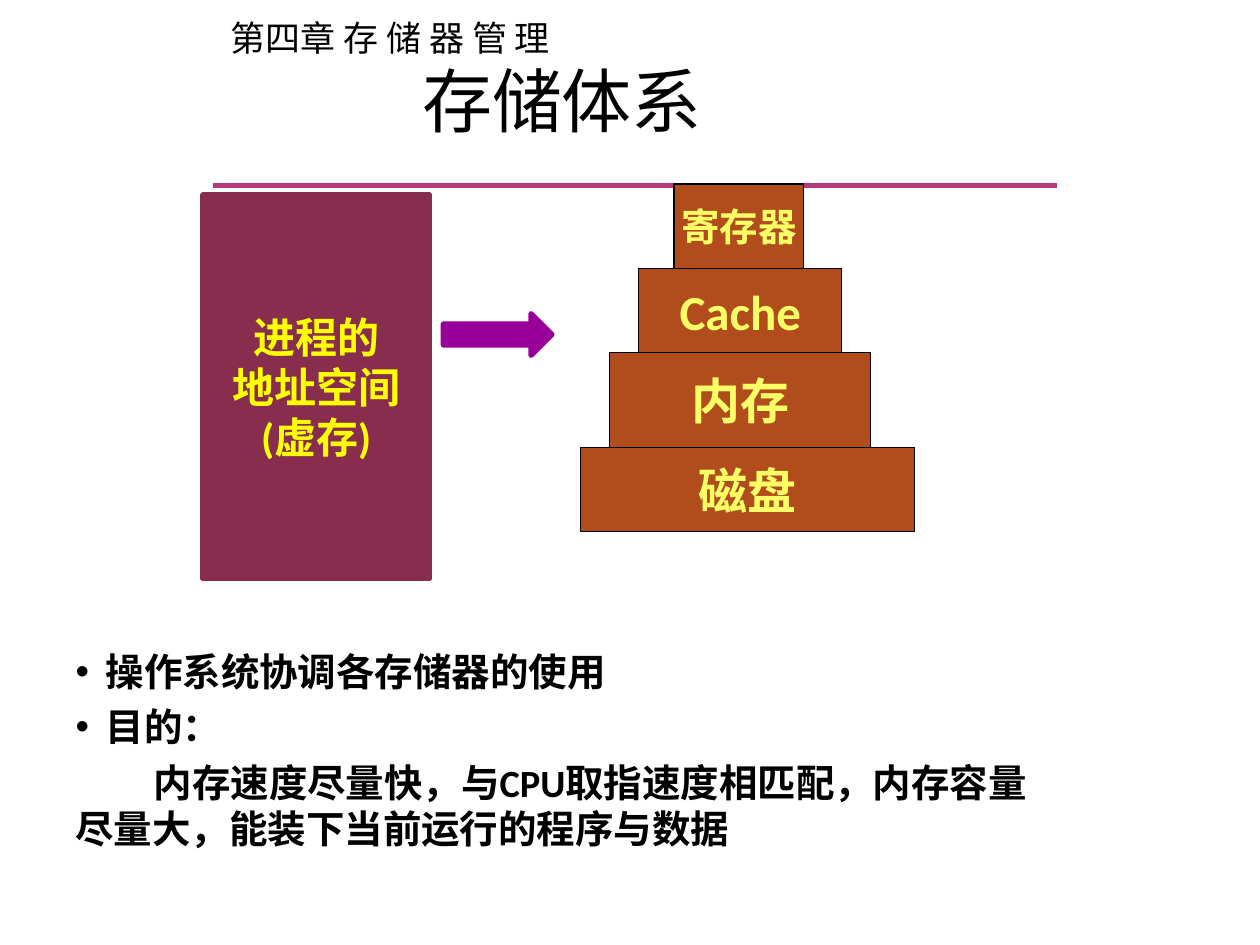
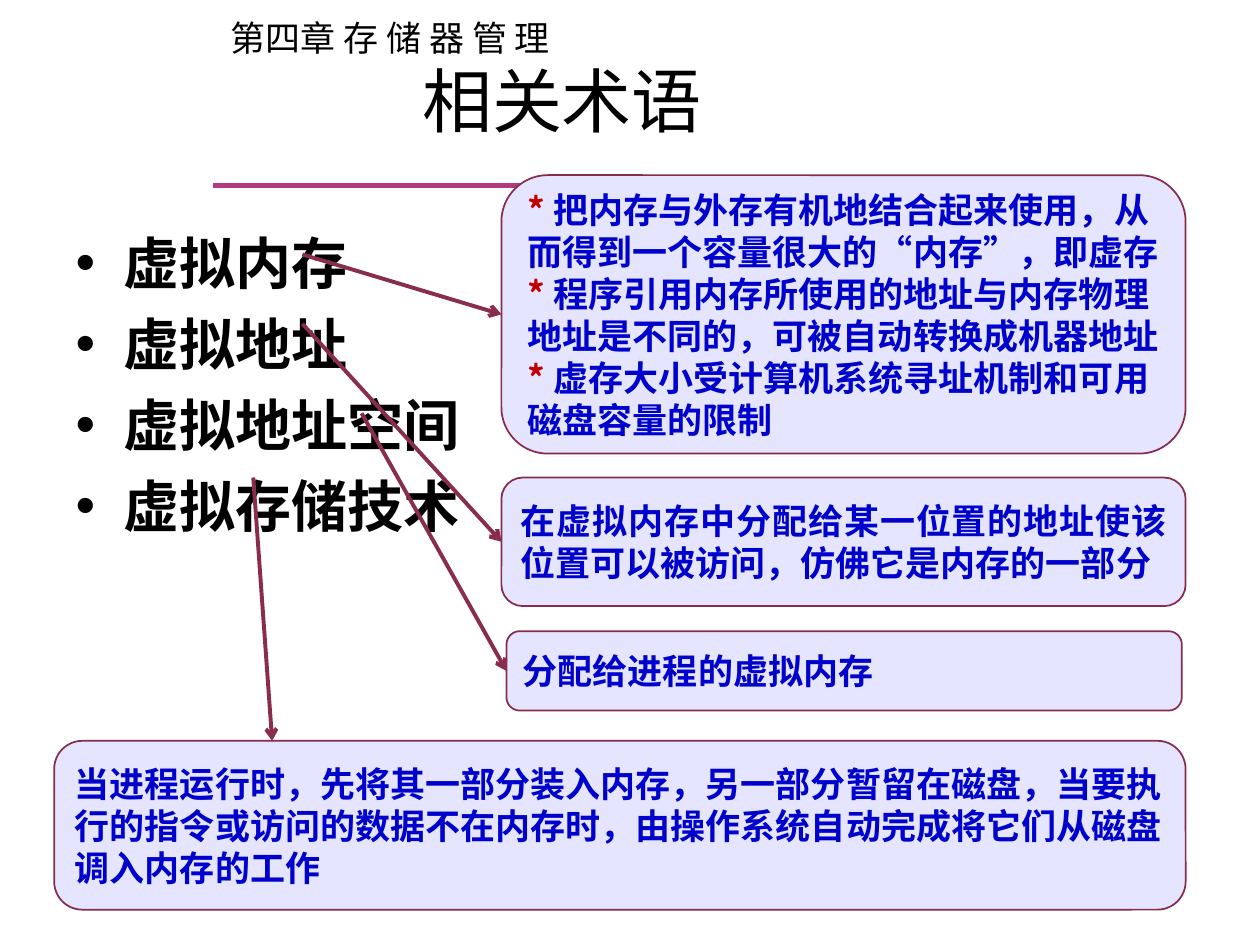
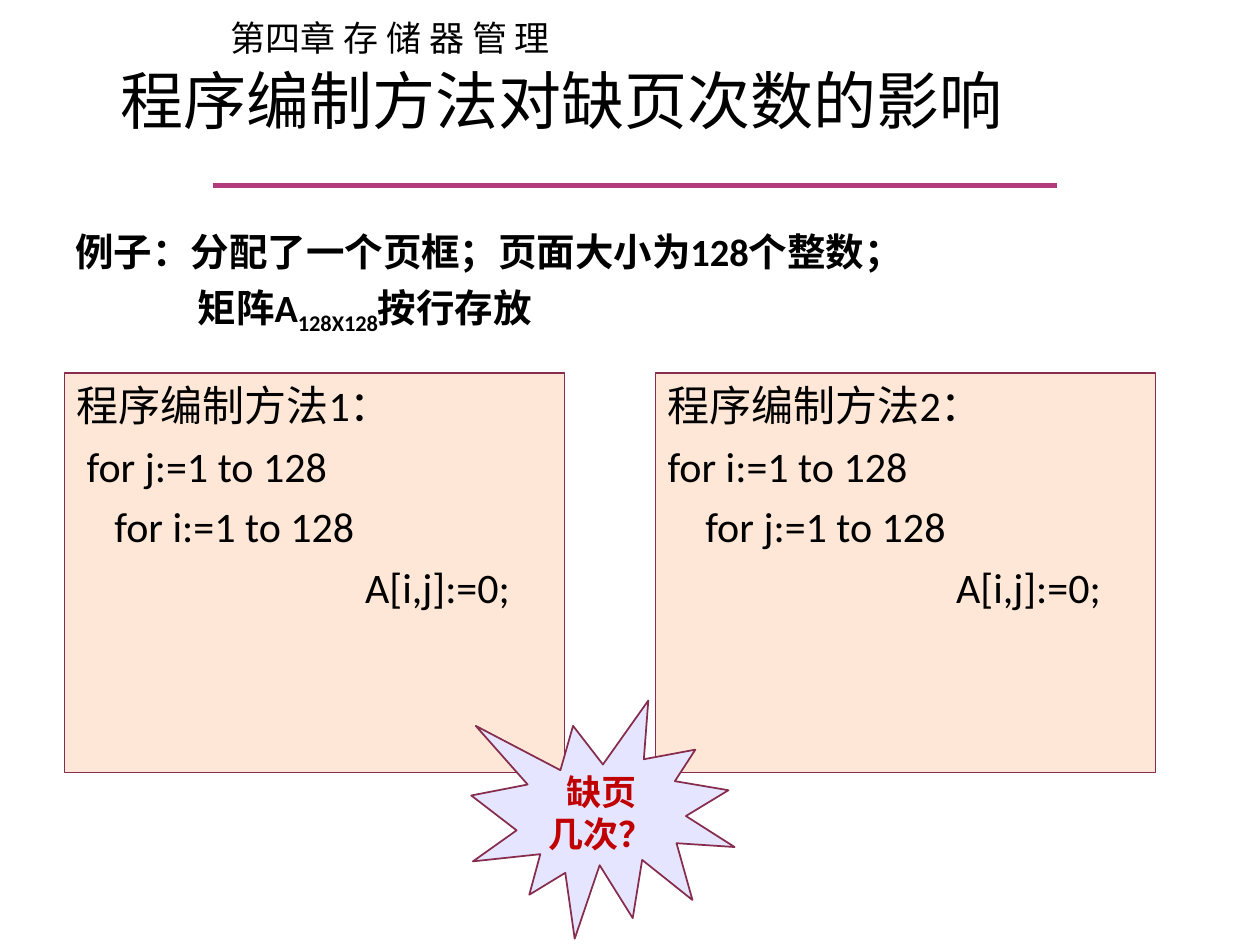
from lxml.etree import SubElement
from pptx import Presentation
from pptx.dml.color import RGBColor
from pptx.enum.shapes import MSO_CONNECTOR as Link, MSO_SHAPE as Kind
from pptx.enum.text import MSO_ANCHOR as Anchor, MSO_AUTO_SIZE as Fit, PP_ALIGN as Align
from pptx.oxml.ns import qn
from pptx.util import Inches, Pt

BLACK, PLUM, WINE, LILAC = "000000", "892D4E", "862C4C", "E5E5FF"
RUST, LEMON, YELLOW, PURPLE = "B14C1D", "FFFF66", "FFFF00", "990099"
PEACH, BLUE, RED, PINK = "FEE7D6", "0000CC", "C00000", "B23A7D"
SANS, SERIF, HAN = "Calibri", "Times New Roman", "Noto Sans CJK SC"

CHAPTER = "第四章 存 储 器 管 理"
SPACE = ["进程的", "地址空间", "(虚存)"]
LEVELS = [
    ("寄存器", 5.35, 1.03, 0.67, 22),
    ("Cache", 5.07, 1.61, 0.67, 28),
    ("内存", 4.84, 2.07, 0.75, 28),
    ("磁盘", 4.61, 2.65, 0.67, 28),
]
GOALS = [
    "操作系统协调各存储器的使用",
    "目的：",
    "内存速度尽量快，与CPU取指速度相匹配，内存容量尽量大，能装下当前运行的程序与数据",
]
TERMS = ["虚拟内存", "虚拟地址", "虚拟地址空间", "虚拟存储技术"]
FACTS = [
    "把内存与外存有机地结合起来使用，从而得到一个容量很大的“内存”，即虚存",
    "程序引用内存所使用的地址与内存物理地址是不同的，可被自动转换成机器地址",
    "虚存大小受计算机系统寻址机制和可用磁盘容量的限制",
]
NOTES = [
    ([[("* ", RED), (fact, BLUE)] for fact in FACTS],
     (3.98, 1.39, 5.43, 2.21), Align.LEFT, (2.4, 2.02)),
    (["在虚拟内存中分配给某一位置的地址使该位置可以被访问，仿佛它是内存的一部分"],
     (3.98, 3.79, 5.43, 1.02), Align.JUSTIFY, (2.4, 2.57)),
    (["分配给进程的虚拟内存"],
     (4.02, 5.01, 5.36, 0.63), Align.JUSTIFY, (2.87, 3.28)),
]
SWAP = ["当进程运行时，先将其一部分装入内存，另一部分暂留在磁盘，"
        "当要执行的指令或访问的数据不在内存时，由操作系统自动完成将它们从磁盘调入内存的工作"]
CASE = [
    "例子：分配了一个页框；页面大小为128个整数；",
    [("矩阵A", BLACK), ("128X128", "sub"), ("按行存放", BLACK)],
]
LOOPS = [
    (0.51, ["程序编制方法1：", "for j:=1 to 128", "for i:=1 to 128", "A[i,j]:=0;"],
     [0, 0.08, 0.3, 2.29]),
    (5.2, ["程序编制方法2：", "for i:=1 to 128", "for j:=1 to 128", "A[i,j]:=0;"],
     [0, 0, 0.3, 2.29]),
]
ASK = ["缺页", "几次？"]


def rgb(code):
    return RGBColor.from_string(code)


def place(shape, box):
    shape.left, shape.top, shape.width, shape.height = map(Inches, box)


def write(frame, lines, size, color=BLACK, font=SANS, bold=False, align=Align.LEFT,
          before=0, anchor=Anchor.MIDDLE, wrap=True, dents=None, dots=0):
    frame.word_wrap, frame.auto_size, frame.vertical_anchor = wrap, Fit.NONE, anchor
    for i, line in enumerate(lines):
        para = frame.paragraphs[0] if i == 0 else frame.add_paragraph()
        left, first = dents[i] if dents else (0, 0)
        props = para._p.get_or_add_pPr()
        props.set("marL", str(Inches(left)))
        props.set("indent", str(Inches(first)))
        if i < dots:
            SubElement(props, qn("a:buFont"), typeface="Arial")
            SubElement(props, qn("a:buChar"), char="•")
        else:
            SubElement(props, qn("a:buNone"))
        para.alignment, para.space_before = align, Pt(before)
        face = para.font
        face.size, face.bold, face.name = Pt(size), bold, font
        face.color.rgb = rgb(color)
        SubElement(face._element, qn("a:ea"), typeface=HAN)
        for text, style in [(line, None)] if isinstance(line, str) else line:
            run = para.add_run()
            run.text = text
            if style == "sub":
                run._r.get_or_add_rPr().set("baseline", "-25000")
            elif style:
                run.font.color.rgb = rgb(style)


def draw(slide, kind, box, fill, edge, width):
    shape = slide.shapes.add_shape(kind, *map(Inches, box))
    shape.shadow.inherit = False
    shape.fill.solid()
    shape.fill.fore_color.rgb = rgb(fill)
    shape.line.color.rgb = rgb(edge)
    shape.line.width = Pt(width)
    return shape


def join(slide, start, end, color, width, arrow=False):
    line = slide.shapes.add_connector(Link.STRAIGHT, *map(Inches, start + end))
    line.line.color.rgb = rgb(color)
    line.line.width = Pt(width)
    if arrow:
        SubElement(line.line._get_or_add_ln(), qn("a:tailEnd"), type="arrow")
    SubElement(line._element.spPr, qn("a:effectLst"))
    return line


def start(deck, title, size=40):
    slide = deck.slides.add_slide(deck.slide_layouts[1])
    head = slide.shapes.title
    place(head, (0.5, 0.35, 7.92, 0.88))
    write(head.text_frame, [title], size, font=SERIF, align=Align.CENTER)
    join(slide, (1.69, 1.47), (8.39, 1.47), PINK, 3)
    return slide


def listing(slide, lines, top, height, size, before, dents, dots=0):
    body = slide.placeholders[1]
    place(body, (0.5, top, 7.92, height))
    write(body.text_frame, lines, size, bold=True, before=before,
          anchor=Anchor.TOP, dents=dents, dots=dots)


def bubble(slide, lines, box, align):
    shape = draw(slide, Kind.ROUNDED_RECTANGLE, box, LILAC, WINE, 1)
    write(shape.text_frame, lines, 20, BLUE, HAN, True, align)
    return shape


def brand(deck, slide):
    label = slide.shapes.add_textbox(*map(Inches, (1.73, 0.08, 2.8, 0.44)))
    write(label.text_frame, [CHAPTER], 20, font=HAN, anchor=Anchor.TOP, wrap=False)
    deck.slide_layouts[1].shapes._spTree.append(label._element)


def memory(deck):
    slide = start(deck, "存储体系")
    brand(deck, slide)
    listing(slide, GOALS, 5.09, 1.97, 22, 5.5,
            [(0.24, -0.24), (0.24, -0.24), (0, 0.62)], dots=2)
    top = 1.46
    for name, left, width, height, size in LEVELS:
        level = draw(slide, Kind.RECTANGLE, (left, top, width, height), RUST, BLACK, 0.75)
        write(level.text_frame, [name], size, LEMON, bold=True,
              align=Align.CENTER, wrap=False)
        top += height
    draw(slide, Kind.RIGHT_ARROW, (3.52, 2.49, 0.86, 0.33), PURPLE, PURPLE, 3.15)
    block = draw(slide, Kind.RECTANGLE, (1.61, 1.55, 1.8, 3.04), PLUM, WINE, 3.15)
    write(block.text_frame, SPACE, 24, YELLOW, bold=True, align=Align.CENTER)


def terms(deck):
    slide = start(deck, "相关术语")
    listing(slide, TERMS, 1.76, 5.3, 32, 8, [(0.38, -0.38)] * len(TERMS), len(TERMS))
    bubble(slide, SWAP, (0.43, 5.88, 8.98, 1.34), Align.LEFT)
    notes = [bubble(slide, lines, box, align) for lines, box, align, _ in NOTES]
    for note, (_, box, _, tip) in zip(notes, NOTES):
        end = (box[0], box[1] + box[3] / 2)
        join(slide, tip, end, PLUM, 2.25, True).end_connect(note, 1)
    join(slide, (2.01, 3.79), (2.16, 5.88), PLUM, 2.25, True)


def faults(deck):
    slide = start(deck, "程序编制方法对缺页次数的影响", 36)
    listing(slide, CASE, 1.76, 0.97, 22, 5.5, [(0, 0), (0.97, 0)])
    for left, lines, dents in LOOPS:
        panel = draw(slide, Kind.RECTANGLE, (left, 2.96, 3.97, 3.17), PEACH, PLUM, 0.75)
        write(panel.text_frame, lines, 24, before=6, anchor=Anchor.TOP,
              dents=[(dent, 0) for dent in dents])
    star = draw(slide, Kind.EXPLOSION1, (3.74, 5.56, 2.09, 1.89), LILAC, WINE, 1)
    write(star.text_frame, ASK, 20, RED, bold=True, align=Align.CENTER)


def main():
    deck = Presentation()
    deck.slide_width, deck.slide_height = Inches(10), Inches(7.5)
    for build in (memory, terms, faults):
        build(deck)
    deck.save("out.pptx")


if __name__ == "__main__":
    main()
